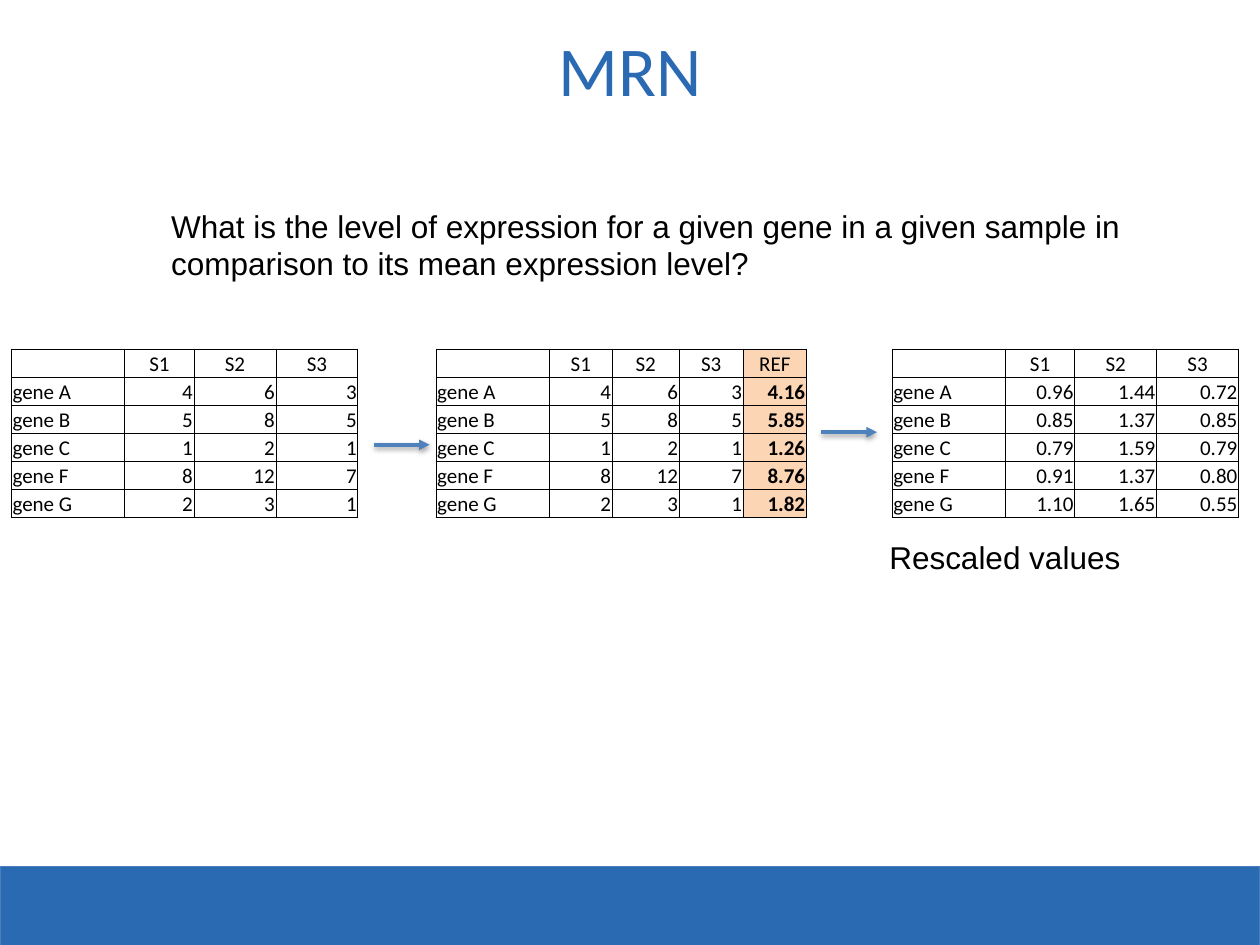
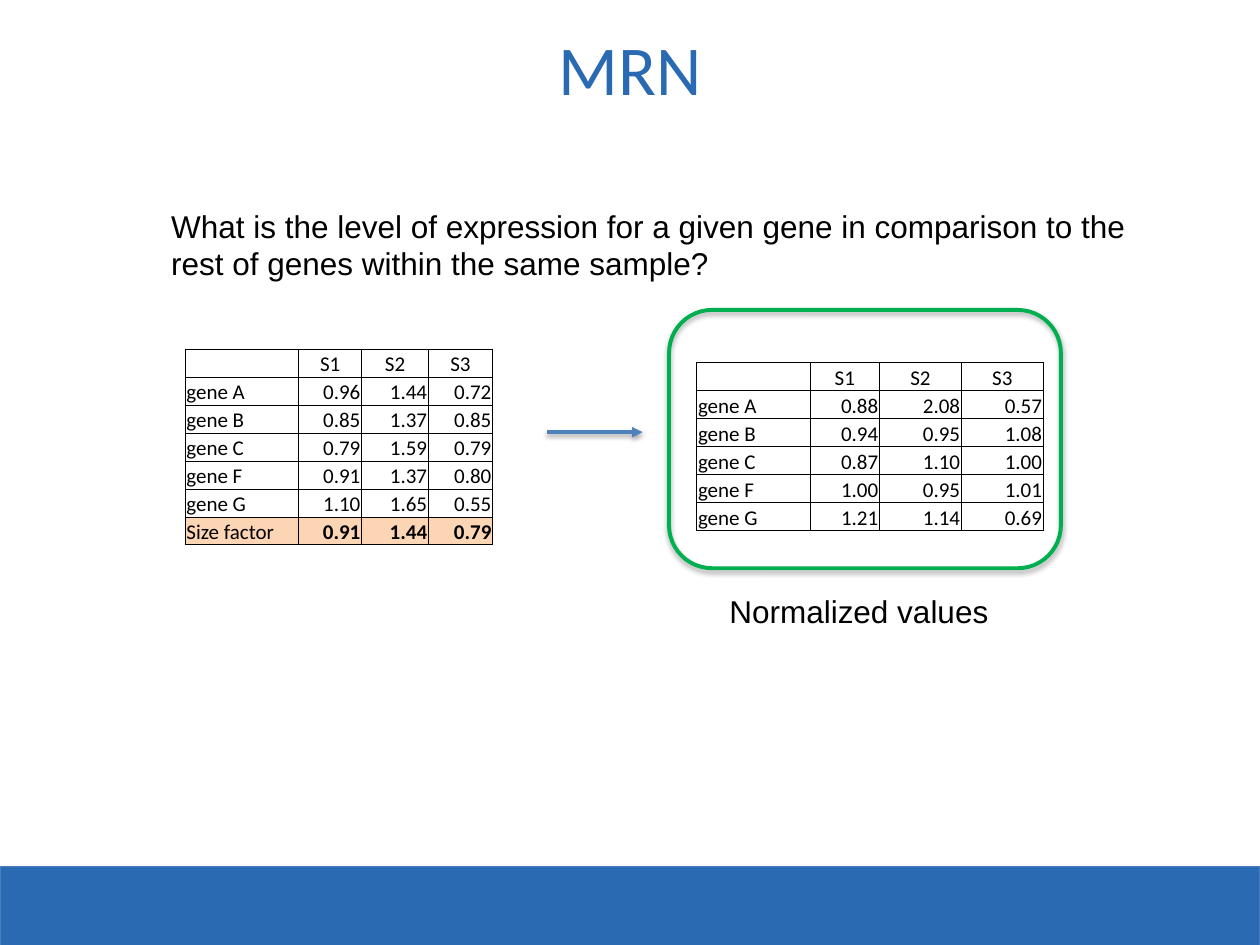
import pptx
import pptx.util
import pptx.dml.color
import pptx.enum.shapes
import pptx.enum.text
import pptx.oxml.ns
import lxml.etree

Inches = pptx.util.Inches
Pt = pptx.util.Pt
RGBColor = pptx.dml.color.RGBColor
ALIGN = pptx.enum.text.PP_ALIGN
ANCHOR = pptx.enum.text.MSO_ANCHOR
SHAPE = pptx.enum.shapes.MSO_SHAPE

BLUE = RGBColor(0x2A, 0x6A, 0xB2)
BAND_EDGE = RGBColor(0x4B, 0x7E, 0xBC)
ARROW_BLUE = RGBColor(0x4F, 0x81, 0xBD)
GREEN = RGBColor(0x00, 0xB0, 0x50)
PEACH = RGBColor(0xFC, 0xD5, 0xB5)
BLACK = RGBColor(0x00, 0x00, 0x00)

HEADER = ["", "S1", "S2", "S3"]
COUNTS = [
    HEADER,
    ["gene A", "4", "6", "3"],
    ["gene B", "5", "8", "5"],
    ["gene C", "1", "2", "1"],
    ["gene F", "8", "12", "7"],
    ["gene G", "2", "3", "1"],
]
REFERENCE = ["REF", "4.16", "5.85", "1.26", "8.76", "1.82"]
RESCALED = [
    HEADER,
    ["gene A", "0.96", "1.44", "0.72"],
    ["gene B", "0.85", "1.37", "0.85"],
    ["gene C", "0.79", "1.59", "0.79"],
    ["gene F", "0.91", "1.37", "0.80"],
    ["gene G", "1.10", "1.65", "0.55"],
]
SIZE_FACTORS = ["Size factor", "0.91", "1.44", "0.79"]
NORMALIZED = [
    HEADER,
    ["gene A", "0.88", "2.08", "0.57"],
    ["gene B", "0.94", "0.95", "1.08"],
    ["gene C", "0.87", "1.10", "1.00"],
    ["gene F", "1.00", "0.95", "1.01"],
    ["gene G", "1.21", "1.14", "0.69"],
]
WITH_REFERENCE = [row + [ref] for row, ref in zip(COUNTS, REFERENCE)]
WITH_FACTORS = RESCALED + [SIZE_FACTORS]

WIDE = [0.9, 0.55, 0.65, 0.65]
NARROW = [0.9, 0.5, 0.53, 0.51]
ROW_HEIGHT = 1.333 / 6

# Tables: left, top, column widths, rows. Arrows: from x, to x, y.
PAGES = [
    {
        "title_top": 0.16,
        "question": "What is the level of expression for a given gene in a given "
                    "sample in comparison to its mean expression level?",
        "arrows": [(2.97, 3.41, 3.53), (6.52, 6.96, 3.43)],
        "tables": [
            (3.46, 2.77, NARROW + [0.5], WITH_REFERENCE),
            (0.09, 2.77, WIDE, COUNTS),
            (7.08, 2.77, WIDE, RESCALED),
        ],
        "caption": ("Rescaled values", (6.96, 4.22, 2.16, 0.47)),
    },
    {
        "title_top": 0.15,
        "question": "What is the level of expression for a given gene in comparison "
                    "to the rest of genes within the same sample?",
        "arrows": [(4.34, 5.1, 3.43)],
        "tables": [
            (1.47, 2.77, NARROW, WITH_FACTORS),
            (5.53, 2.88, WIDE, NORMALIZED),
        ],
        "frame": (5.31, 2.46, 3.11, 2.05),
        "caption": ("Normalized values", (5.69, 4.65, 2.44, 0.43)),
    },
]


def add_child(parent, tag, **attributes):
    return lxml.etree.SubElement(parent, pptx.oxml.ns.qn(tag), attributes)


def add_shadow(shape, distance, opacity):
    """Cast a soft black shadow straight down."""
    effects = add_child(shape._element.spPr, "a:effectLst")
    shadow = add_child(effects, "a:outerShdw", blurRad=str(Pt(3.1)),
                       dist=str(Pt(distance)), dir="5400000", rotWithShape="0")
    color = add_child(shadow, "a:srgbClr", val=str(BLACK))
    add_child(color, "a:alpha", val=str(opacity * 1000))


def style_span(span, size, font, color):
    span.font.size = Pt(size)
    span.font.name = font
    span.font.color.rgb = color


def add_text(page, text, place, size, font, color, align=ALIGN.LEFT, before=0):
    box = page.shapes.add_textbox(*map(Inches, place))
    box.text_frame.word_wrap = True
    box.text_frame.text = text
    para = box.text_frame.paragraphs[0]
    para.alignment = align
    para.space_before = Pt(before)
    style_span(para.runs[0], size, font, color)


def add_body_text(page, text, place):
    add_text(page, text, place, 18, "Arial", BLACK, before=1.8)


def add_band(page):
    band = page.shapes.add_shape(SHAPE.RECTANGLE, 0, Inches(6.88),
                                 Inches(10), Inches(0.63))
    band.shadow.inherit = False
    band.fill.solid()
    band.fill.fore_color.rgb = BLUE
    band.line.color.rgb = BAND_EDGE
    band.line.width = Pt(0.75)


def add_arrow(page, start, end, y):
    arrow = page.shapes.add_connector(
        pptx.enum.shapes.MSO_CONNECTOR.STRAIGHT,
        Inches(start), Inches(y), Inches(end), Inches(y))
    arrow.line.color.rgb = ARROW_BLUE
    arrow.line.width = Pt(2)
    add_child(arrow.line._get_or_add_ln(), "a:tailEnd", type="triangle")
    add_shadow(arrow, 1.6, 38)


def add_frame(page, place):
    frame = page.shapes.add_shape(SHAPE.ROUNDED_RECTANGLE, *map(Inches, place))
    frame.fill.background()
    frame.line.color.rgb = GREEN
    frame.line.width = Pt(2.25)
    add_shadow(frame, 1.8, 35)


def add_borders(cell):
    properties = cell._tc.get_or_add_tcPr()
    for side in "LRTB":
        line = add_child(properties, "a:ln" + side, w=str(Pt(0.5)))
        fill = add_child(line, "a:solidFill")
        add_child(fill, "a:srgbClr", val=str(BLACK))


def fill_cell(cell, text, align, highlighted, bold):
    cell.margin_left = cell.margin_right = cell.margin_top = Inches(0.01)
    cell.margin_bottom = 0
    cell.vertical_anchor = ANCHOR.BOTTOM
    add_borders(cell)
    if highlighted:
        cell.fill.solid()
        cell.fill.fore_color.rgb = PEACH
    else:
        cell.fill.background()
    cell.text_frame.text = text
    para = cell.text_frame.paragraphs[0]
    para.alignment = align
    for span in para.runs:
        style_span(span, 12, "Calibri", BLACK)
        span.font.bold = bold
    if not text:
        # An empty cell needs its own text size, or its row grows.
        add_child(para._p, "a:endParaRPr", sz="1200")


def add_gene_table(page, left, top, widths, rows):
    """Draw a gene table with its REF column or size factor row highlighted."""
    table = page.shapes.add_table(
        len(rows), len(widths), Inches(left), Inches(top),
        Inches(sum(widths)), Inches(ROW_HEIGHT * len(rows))).table
    table.first_row = table.horz_banding = False
    for column, width in zip(table.columns, widths):
        column.width = Inches(width)
    for r, row in enumerate(rows):
        table.rows[r].height = Inches(ROW_HEIGHT)
        for c, text in enumerate(row):
            highlighted = rows[0][c] == "REF" or row is SIZE_FACTORS
            if r == 0:
                align = ALIGN.CENTER
            else:
                align = ALIGN.RIGHT if c else ALIGN.LEFT
            bold = highlighted and align == ALIGN.RIGHT
            fill_cell(table.cell(r, c), text, align, highlighted, bold)


def build_page(deck, content):
    page = deck.slides.add_slide(deck.slide_layouts[6])
    add_band(page)
    add_text(page, "MRN", (1.26, content["title_top"], 7.48, 0.89),
             40, "Calibri", BLUE, ALIGN.CENTER)
    for arrow in content["arrows"]:
        add_arrow(page, *arrow)
    for table in content["tables"]:
        add_gene_table(page, *table)
    add_body_text(page, content["question"], (1.26, 1.59, 8.11, 1.4))
    if "frame" in content:
        add_frame(page, content["frame"])
    add_body_text(page, *content["caption"])


def main():
    deck = pptx.Presentation()
    deck.slide_width = Inches(10)
    deck.slide_height = Inches(7.5)
    for content in PAGES:
        build_page(deck, content)
    deck.save("out.pptx")


if __name__ == "__main__":
    main()
